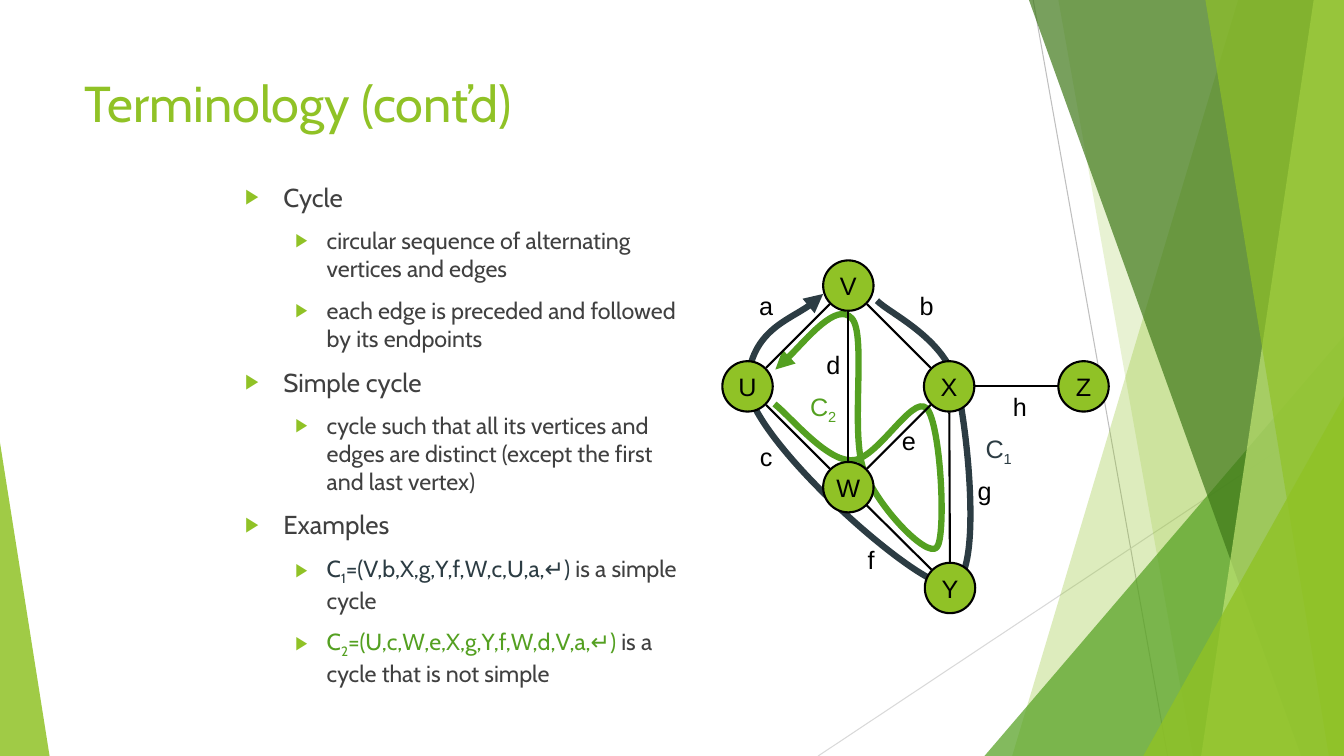
from math import hypot

from pptx import Presentation
from pptx.dml.color import RGBColor
from pptx.enum.shapes import MSO_CONNECTOR as CONN, MSO_SHAPE as SHAPE
from pptx.enum.text import MSO_ANCHOR as ANCHOR, PP_ALIGN as ALIGN
from pptx.oxml import parse_xml
from pptx.oxml.ns import nsdecls, qn
from pptx.oxml.xmlchemy import OxmlElement
from pptx.util import Emu, Inches, Pt

# The slide is a grid of 160 columns by 90 rows, twelve to the inch
COLS, ROWS = 160, 90
CELL = Inches(1) // 12
LIME, GREEN, SLATE, GREY, BLACK = "90C226", "54A021", "2C3C43", "404040", "000000"


def rgb(hex_code):
    return RGBColor.from_string(hex_code)


def grid(*units):
    return [Emu(round(u * CELL)) for u in units]


def add_text(p, text, size=18, color=BLACK, font="Arial", sub=False):
    r = p.add_run()
    r.text = text
    r.font.size, r.font.name = Pt(size), font
    r.font.color.rgb = rgb(color)
    if sub:
        r._r.get_or_add_rPr().set("baseline", "-25000")


class Deck:
    font = "Cabin"
    radius = 3

    def __init__(self):
        self.prs = Presentation()
        self.prs.slide_width, self.prs.slide_height = grid(COLS, ROWS)
        self.s = self.prs.slides.add_slide(self.prs.slide_layouts[6])

    def paint(self, sp, color, opacity=100):
        sp.shadow.inherit = False
        sp.fill.solid()
        sp.fill.fore_color.rgb = rgb(color)
        sp.line.fill.background()
        if opacity < 100:
            alpha = OxmlElement("a:alpha")
            alpha.set("val", str(opacity * 1000))
            sp._element.spPr.find(".//" + qn("a:srgbClr")).append(alpha)

    def outline(self, sp, points, close):
        start, *rest = [grid(*pt) for pt in points]
        fb = sp.build_freeform(*start, scale=1.0)
        fb.add_line_segments(rest, close=close)
        return fb.convert_to_shape()

    def facet(self, top, bottom, color, opacity):
        corners = [(top, 0), (COLS, 0), (COLS, ROWS), (bottom, ROWS)]
        self.paint(self.outline(self.s.shapes, corners, True), color, opacity)

    def triangle(self, x, y, w, apex, color, opacity):
        sp = self.s.shapes.add_shape(SHAPE.ISOSCELES_TRIANGLE, *grid(x, y, w, ROWS - y))
        sp.adjustments[0] = apex
        self.paint(sp, color, opacity)

    def line(self, x1, y1, x2, y2, color=BLACK, width=1.5):
        c = self.s.shapes.add_connector(CONN.STRAIGHT, *grid(x1, y1, x2, y2))
        c.line.color.rgb, c.line.width = rgb(color), Pt(width)
        c._element.spPr.append(OxmlElement("a:effectLst"))

    def curve(self, points, color, arrow):
        """Draw Bezier pieces: a start, then three points for each piece."""
        sp = self.outline(self.s.shapes, points, False)
        sp.shadow.inherit = False
        sp.fill.background()
        sp.line.color.rgb, sp.line.width = rgb(color), Pt(4.5)
        end = OxmlElement(f"a:{arrow}")
        end.set("type", "triangle")
        sp._element.spPr.find(qn("a:ln")).append(end)
        path = sp._element.spPr.find(".//" + qn("a:path"))
        steps = path.findall(qn("a:lnTo"))
        for i in range(0, len(steps), 3):
            bezier = OxmlElement("a:cubicBezTo")
            for step in steps[i:i + 3]:
                bezier.append(step[0])
                path.remove(step)
            path.append(bezier)

    def node(self, name, x, y):
        d = self.radius
        sp = self.s.shapes.add_shape(SHAPE.OVAL, *grid(x - d, y - d, 2 * d, 2 * d))
        self.paint(sp, LIME)
        sp.line.color.rgb, sp.line.width = rgb(BLACK), Pt(1.5)
        tf = sp.text_frame
        tf.word_wrap, tf.vertical_anchor = False, ANCHOR.MIDDLE
        tf.paragraphs[0].alignment = ALIGN.CENTER
        add_text(tf.paragraphs[0], name)

    def edge(self, a, b):
        """Join two node centres, stopping just outside both circles."""
        dx, dy = b[0] - a[0], b[1] - a[1]
        t = (self.radius + 0.1) / hypot(dx, dy)
        self.line(a[0] + t * dx, a[1] + t * dy, b[0] - t * dx, b[1] - t * dy)

    def text_box(self, x, y, w, h, wrap=True):
        tf = self.s.shapes.add_textbox(*grid(x, y, w, h)).text_frame
        tf.word_wrap = wrap
        return tf

    def label(self, text, x, y, sub="", color=BLACK):
        w, h = (5.8 if sub else 4), 4.8
        p = self.text_box(x - w / 2, y - h / 2, w, h, wrap=False).paragraphs[0]
        p.alignment = ALIGN.CENTER
        add_text(p, text, color=color)
        if sub:
            add_text(p, sub, color=color, sub=True)

    def title(self, text, x, y, w, h):
        p = self.text_box(x, y, w, h).paragraphs[0]
        add_text(p, text, size=36, color=LIME, font=self.font)

    def bullets(self, items, x, y, w, h):
        tf = self.text_box(x, y, w, h)
        for i, (level, runs) in enumerate(items):
            p = tf.add_paragraph() if i else tf.paragraphs[0]
            p.level = level
            pPr = p._p.get_or_add_pPr()
            left, hang = ((0.38, 0.38), (0.81, 0.31))[level]
            pPr.set("marL", str(Inches(left)))
            pPr.set("indent", str(-Inches(hang)))
            for xml in (f'<a:buClr {{}}><a:srgbClr val="{LIME}"/></a:buClr>',
                        '<a:buSzPct {} val="80000"/>',
                        '<a:buFont {} typeface="Arial"/>',
                        '<a:buChar {} char="▶"/>'):
                pPr.append(parse_xml(xml.format(nsdecls("a"))))
            if i:
                p.space_before = Pt(10)
            for text, color, sub in runs:
                add_text(p, text, (18.5, 16.6)[level], color, self.font, sub)


def plain(level, text):
    return level, [(text, GREY, False)]


def example(number, color, cycle, remark):
    return 1, [("C", color, False), (number, color, True),
               (cycle, color, False), (remark, GREY, False)]


BULLETS = [
    plain(0, "Cycle"),
    plain(1, "circular sequence of alternating vertices and edges"),
    plain(1, "each edge is preceded and followed by its endpoints"),
    plain(0, "Simple cycle"),
    plain(1, "cycle such that all its vertices and edges are distinct "
             "(except the first and last vertex)"),
    plain(0, "Examples"),
    example("1", SLATE, "=(V,b,X,g,Y,f,W,c,U,a,↵)", " is a simple cycle"),
    example("2", GREEN, "=(U,c,W,e,X,g,Y,f,W,d,V,a,↵)", " is a cycle that is not simple"),
]
NODES = {"X": (113, 46), "U": (89, 46), "V": (101, 34),
         "W": (101, 58), "Z": (129, 46), "Y": (113.1, 70)}
EDGES = ["VU", "WU", "WX", "XZ", "VX", "VW", "WY", "XY"]
LABELS = {"a": (91.2, 36.4), "c": (91.2, 54.4), "b": (110.3, 36.4), "e": (108.2, 52.4),
          "d": (99.2, 43.4), "f": (103.7, 66.6), "g": (117.2, 58.4), "h": (121.4, 48.4)}
CYCLE_1 = [(104.4, 35.8), (106, 37.4), (112.4, 40.2), (113.9, 45.8),
           (115.3, 51.6), (117.1, 69.8), (113, 69.7),
           (108.8, 69.7), (88.6, 51.6), (89, 45.5),
           (89.5, 39.4), (96.1, 37.2), (98, 35)]
CYCLE_2 = [(92.3, 44), (93.7, 43), (99.6, 35.9), (101.4, 37.9),
           (103.2, 39.8), (101.2, 51.4), (102.8, 55.9),
           (104.5, 60.4), (110.3, 66.4), (111.5, 65.2),
           (112.7, 64), (112, 50.3), (110.3, 48.6),
           (108.6, 46.9), (104.3, 55), (101.3, 54.8),
           (98.3, 54.8), (94.1, 49.6), (92.2, 48.1)]


def main():
    d = Deck()

    # Background facets
    d.line(123, 0, 139, 90, "BFBFBF", 0.75)
    d.line(160, 48.4, 97.4, 90, "D9D9D9", 0.75)
    d.facet(147.4, 120.5, LIME, 30)
    d.facet(126, 142, LIME, 20)
    d.triangle(117.2, 40, 42.8, 1, GREEN, 72)
    d.facet(122.5, 154.9, "3F7819", 70)
    d.facet(156.4, 143, "C0E474", 70)
    d.facet(143.5, 158.2, LIME, 65)
    d.triangle(136.1, 47.2, 23.9, 1, LIME, 80)
    d.triangle(0, 52.7, 5.9, 0, LIME, 85)

    # Title and definitions
    d.title("Terminology (cont’d)", 8.9, 8, 112.8, 17.3)
    d.bullets(BULLETS, 28, 21, 55, 58)

    # Graph: cycles behind, then nodes, edges and labels
    d.curve(CYCLE_1, SLATE, "tailEnd")
    d.curve(CYCLE_2, GREEN, "headEnd")
    for name, centre in NODES.items():
        d.node(name, *centre)
    for a, b in EDGES:
        d.edge(NODES[a], NODES[b])
    for name, centre in LABELS.items():
        d.label(name, *centre)
    d.label("C", 118.9, 53.4, "1", SLATE)
    d.label("C", 98, 48.4, "2", GREEN)

    d.prs.save("out.pptx")


if __name__ == "__main__":
    main()
